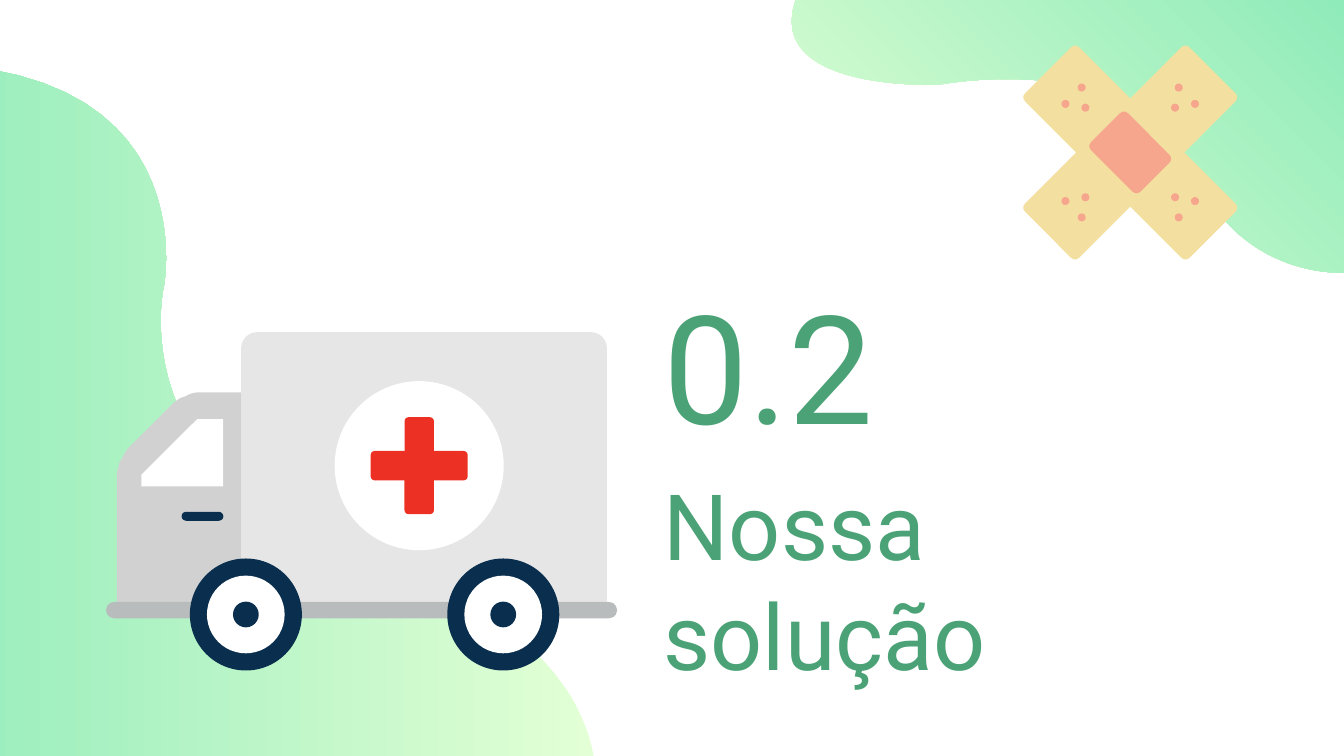
"""Build the section slide with an ambulance, crossed bandages and a heading."""
import pptx
import pptx.util
import pptx.dml.color
import pptx.enum.shapes
import pptx.enum.text

Pt = pptx.util.Pt
RGBColor = pptx.dml.color.RGBColor
OVAL = pptx.enum.shapes.MSO_SHAPE.OVAL
ROUNDED = pptx.enum.shapes.MSO_SHAPE.ROUNDED_RECTANGLE

GREEN = RGBColor(0x4A, 0xA2, 0x76)
MINT = RGBColor(0x90, 0xEB, 0xBA)
LIME = RGBColor(0xE3, 0xFF, 0xD5)
SAND = RGBColor(0xF3, 0xE0, 0xA0)
SALMON = RGBColor(0xF7, 0xA6, 0x8E)
CAB_GREY = RGBColor(0xD1, 0xD1, 0xD1)
BODY_GREY = RGBColor(0xE6, 0xE6, 0xE6)
BUMPER_GREY = RGBColor(0xB9, 0xBC, 0xBD)
NAVY = RGBColor(0x0A, 0x2E, 0x4E)
RED = RGBColor(0xED, 0x30, 0x24)
WHITE = RGBColor(0xFF, 0xFF, 0xFF)

deck = pptx.Presentation()
deck.slide_width, deck.slide_height = Pt(720), Pt(405)
page = deck.slides.add_slide(deck.slide_layouts[6])


def add_text(text, *, left, top, width, height, size, colour=GREEN, font="Roboto"):
    box = page.shapes.add_textbox(Pt(left), Pt(top), Pt(width), Pt(height))
    frame = box.text_frame
    frame.word_wrap = True
    frame.vertical_anchor = pptx.enum.text.MSO_ANCHOR.TOP
    frame.margin_left = frame.margin_right = Pt(7.2)
    frame.margin_top = frame.margin_bottom = Pt(7.2)
    span = frame.paragraphs[0].add_run()
    span.text = text
    span.font.size = Pt(size)
    span.font.name = font
    span.font.color.rgb = colour


def flatten(start, segments, steps=24):
    points = [start]
    for segment in segments:
        if len(segment) == 2:
            points.append(segment)
            continue
        ends = [points[-1], segment[0:2], segment[2:4], segment[4:6]]
        for step in range(1, steps + 1):
            t = step / steps
            weights = ((1 - t) ** 3, 3 * t * (1 - t) ** 2, 3 * t * t * (1 - t), t ** 3)
            points.append(tuple(sum(w * end[axis] for w, end in zip(weights, ends))
                                for axis in (0, 1)))
    return [(Pt(x), Pt(y)) for x, y in points]


left_blob = flatten((318.2, 406), [
    (313.9, 380.2, 293.8, 332.6, 198.7, 301),
    (63.4, 256.3, 87.8, 153.4, 87.8, 153.4),
    (87.8, 153.4, 112.3, 25.9, -61.9, 34.6),
    (-61.9, 406),
])
right_blob = flatten((720, 146.2), [
    (697.7, 146.2, 660.2, 137.5, 639.4, 92.2),
    (609.1, 24.5, 503.3, 45.4, 503.3, 45.4),
    (503.3, 45.4, 409, 49.7, 426.2, 0),
    (720, 0),
])
cab = flatten((107.3, 210.2), [
    (104.4, 210.2, 101.5, 211, 99.4, 212.4),
    (96.5, 213.1, 94.3, 214.6, 92.2, 216.7),
    (68.4, 240.5),
    (67, 242.6, 65.5, 245.5, 64.1, 247.7),
    (63.4, 250.6, 62.6, 252.7, 62.6, 255.6),
    (62.6, 330), (129.6, 330), (129.6, 210.2),
])
window = flatten((75.8, 260.6), [
    (119.5, 260.6), (119.5, 224.5), (105.7, 224.5), (75.8, 254.3),
])

for points, colour, angle in [
    (left_blob, None, 180),
    (right_blob, None, 45),
    (cab, CAB_GREY, None),
    (window, WHITE, None),
]:
    builder = page.shapes.build_freeform(*points[0], scale=1.0)
    builder.add_line_segments(points[1:], close=True)
    outline = builder.convert_to_shape()
    outline.shadow.inherit = False
    outline.line.fill.background()
    if colour is None:
        outline.fill.gradient()
        outline.fill.gradient_angle = angle
        for stop, shade in zip(outline.fill.gradient_stops, (LIME, MINT)):
            stop.color.rgb = shade
    else:
        outline.fill.solid()
        outline.fill.fore_color.rgb = colour

bandage_x, bandage_y = 605.5, 81.7
badge_x, badge_y = 224.6, 249.5
parts = [
    (ROUNDED, bandage_x, bandage_y, 124.6, 41, 3, -45, SAND),
    (ROUNDED, bandage_x, bandage_y, 124.6, 41, 3, 45, SAND),
    (ROUNDED, bandage_x, bandage_y, 37.5, 28, 3, 45, SALMON),
]
for side in (-1, 1):
    for end in (-1, 1):
        for dx, dy in [(26, 34.8), (34.7, 26), (24, 24)]:
            parts.append((OVAL, bandage_x + side * dx, bandage_y + end * dy,
                          4.3, 4.3, 0, 0, SALMON))
parts += [
    (ROUNDED, 227.2, 254.5, 196, 153, 8.6, 0, BODY_GREY),
    (ROUNDED, 108.5, 276.6, 22.4, 4.8, 2.4, 0, NAVY),
    (OVAL, badge_x, badge_y, 90.6, 90.6, 0, 0, WHITE),
    (ROUNDED, badge_x, badge_y, 52, 15.8, 2.2, 0, RED),
    (ROUNDED, badge_x, badge_y, 15.8, 52, 2.2, 0, RED),
    (ROUNDED, 193.7, 326.9, 273.8, 8.8, 4.4, 0, BUMPER_GREY),
]
for wheel_x in (131.7, 269.6):
    for diameter, colour in [(60, NAVY), (41.6, WHITE), (13.8, NAVY)]:
        parts.append((OVAL, wheel_x, 329.2, diameter, diameter, 0, 0, colour))

for kind, x, y, width, height, radius, angle, colour in parts:
    part = page.shapes.add_shape(kind, Pt(x - width / 2), Pt(y - height / 2),
                                 Pt(width), Pt(height))
    part.shadow.inherit = False
    part.rotation = angle
    part.line.fill.background()
    part.fill.solid()
    part.fill.fore_color.rgb = colour
    if kind == ROUNDED:
        part.adjustments[0] = radius / min(width, height)

add_text("Nossa solução", left=348.5, top=244, width=314.6, height=48.2, size=49)
add_text("0.2", left=348.5, top=139, width=314.6, height=75.6, size=81)

deck.save("out.pptx")
